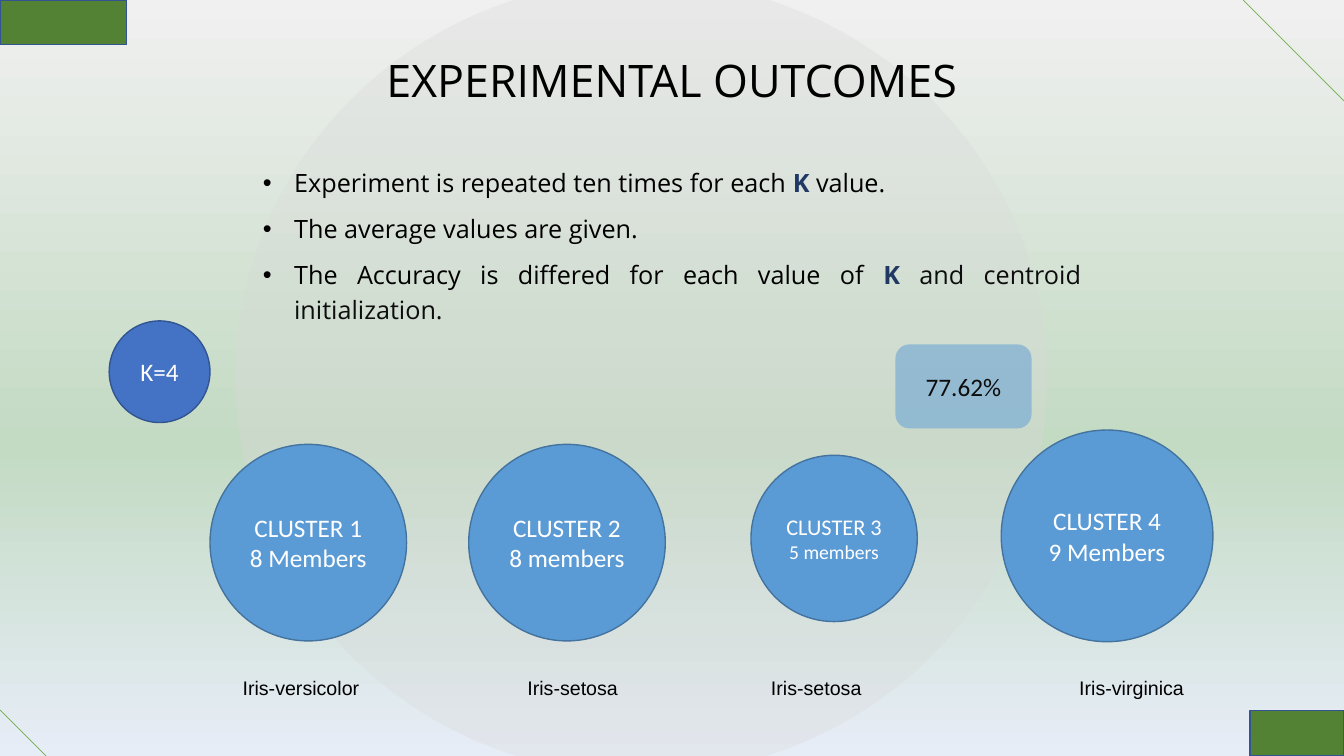
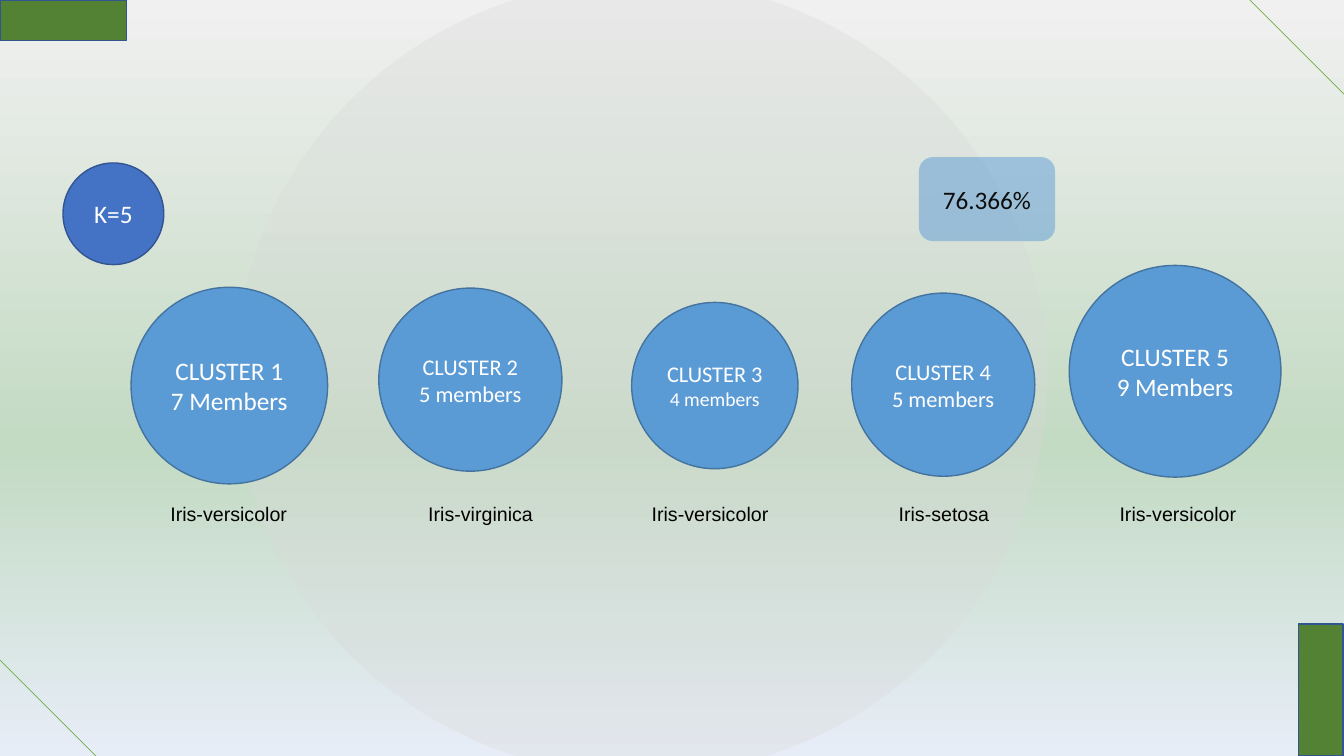
"""Build two slides on clustering outcomes for K=4 and K=5."""
from lxml import etree
from pptx import Presentation
from pptx import util as u
from pptx.dml.color import RGBColor
from pptx.enum import shapes, text
from pptx.oxml.ns import qn

CELL = u.Pt(6)
COLUMNS, ROWS = 160, 90
COLORS = {
    "black": "000000", "ink": "0D0D0D", "white": "FFFFFF", "navy": "203864",
    "halo": "D9D9D9", "badge": "4472C4", "badge_line": "325491",
    "cluster": "5B9BD5", "cluster_line": "43739E",
    "corner": "548235", "diagonal": "70AD47",
}
BACKGROUND = [(0, "F0F0F0"), (59, "C3DAC3"), (100, "E7EDF7")]
OVAL = shapes.MSO_SHAPE.OVAL
RECTANGLE = shapes.MSO_SHAPE.RECTANGLE
ROUNDED = shapes.MSO_SHAPE.ROUNDED_RECTANGLE
CIRCLES = {
    "largest": (25.2, 18, 18),
    "large": (23.4, 18, 18),
    "medium": (21.8, 16, 16),
    "small": (19.8, 16, 14),
}


def cells(*values):
    """Turn grid cells into slide lengths."""
    return [u.Emu(round(value * CELL)) for value in values]


def write(frame, lines, font="Calibri", sizes=(18,), color="white", align="CENTER",
          anchor="MIDDLE", spacing=1, after=0, hanging=0):
    """Fill a frame with lines; a line is a string or a list of (text, color, bold)."""
    frame.word_wrap = True
    frame.auto_size = text.MSO_AUTO_SIZE.NONE
    frame.vertical_anchor = text.MSO_ANCHOR[anchor]
    for index, line in enumerate(lines):
        para = frame.add_paragraph() if index else frame.paragraphs[0]
        para.alignment = text.PP_ALIGN[align]
        para.line_spacing = spacing
        para.space_before, para.space_after = u.Pt(0), u.Pt(after)
        if hanging:
            properties = para._p.get_or_add_pPr()
            properties.set("marL", str(u.Inches(hanging)))
            properties.set("indent", str(-u.Inches(hanging)))
        for words, tint, bold in [(line, color, False)] if isinstance(line, str) else line:
            span = para.add_run()
            span.text = words
            span.font.name = font
            span.font.size = u.Pt(sizes[min(index, len(sizes) - 1)])
            span.font.bold = bold
            span.font.color.rgb = RGBColor.from_string(COLORS[tint])


PAGES = [
    {
        "title": "EXPERIMENTAL OUTCOMES",
        "list": [
            [("Experiment is repeated ten times for each ", "black", False),
             ("K", "navy", True), (" value.", "black", False)],
            "The average values are given.",
            [("The Accuracy is differed for each value of ", "black", False),
             ("K ", "navy", True), ("and centroid initialization.", "ink", False)],
        ],
        "badge": ("K=4", 13, 38.2),
        "accuracy": ("77.62%", 106.6, 41),
        "label_top": 79.9,
        "clusters": [
            ("8 Members", "large", 25, 52.9, "Iris-versicolor", 27.7),
            ("8 members", "large", 55.8, 52.9, "Iris-setosa", 61.6),
            ("5 members", "small", 89.4, 54.2, "Iris-setosa", 90.6),
            ("9 Members", "largest", 119.2, 51.2, "Iris-virginica", 127.3),
        ],
        "corners": [(0, 0, 15.1, 5.3), (148.8, 84.6, 11.2, 5.4)],
        "diagonals": [(148, 0, 160, 12), (0, 84.5, 5.5, 90)],
    },
    {
        "badge": ("K=5", 7.5, 19.4),
        "accuracy": ("76.366%", 109.4, 18.7),
        "label_top": 59.2,
        "clusters": [
            ("7 Members", "large", 15.6, 34.2, "Iris-versicolor", 19.1),
            ("5 members", "medium", 45.1, 34.3, "Iris-virginica", 49.8),
            ("4 members", "small", 75.2, 36, "Iris-versicolor", 76.4),
            ("5 members", "medium", 101.4, 34.9, "Iris-setosa", 105.8),
            ("9 Members", "largest", 127.3, 31.6, "Iris-versicolor", 132.1),
        ],
        "corners": [(0, 0, 15.1, 4.8), (154.6, 74.3, 5.3, 15.7)],
        "diagonals": [(148.8, 0, 160, 11.2), (0, 78.6, 11.4, 90)],
    },
]

deck = Presentation()
deck.slide_width, deck.slide_height = cells(COLUMNS, ROWS)

master = deck.slide_master
master.background.fill.gradient()
stops = master.element.find(".//" + qn("a:gsLst"))
for stop in list(stops):
    stops.remove(stop)
for position, value in BACKGROUND:
    stop = etree.SubElement(stops, qn("a:gs"), pos=str(position * 1000))
    etree.SubElement(stop, qn("a:srgbClr"), val=value)
master.element.find(".//" + qn("a:lin")).set("ang", "5400000")

for content in PAGES:
    titled = "title" in content
    page = deck.slides.add_slide(deck.slide_layouts[1 if titled else 6])
    if titled:
        title, body = page.shapes.title, page.placeholders[1]
        title.left, title.top, title.width, title.height = cells(11, 1.2, 138, 17.4)
        write(title.text_frame, [content["title"]], font="Open Sans", sizes=(32,),
              color="black", spacing=0.9)
        body.left, body.top, body.width, body.height = cells(30.1, 18.8, 99.8, 20.4)
        write(body.text_frame, content["list"], font="Open Sans", color="black",
              align="JUSTIFY", anchor="TOP", spacing=1.15, after=8, hanging=0.31)

    badge, badge_left, badge_top = content["badge"]
    accuracy, accuracy_left, accuracy_top = content["accuracy"]
    figures = [
        (OVAL, (28, -2.4, 96.7, 94.7), "halo", None, 32, [], {}),
        (OVAL, (badge_left, badge_top, 12, 12.1), "badge", "badge_line", 100, [badge], {}),
    ]
    for number, (members, scale, left, top, _, _) in enumerate(content["clusters"], 1):
        diameter, *sizes = CIRCLES[scale]
        figures.append((OVAL, (left, top, diameter, diameter), "cluster", "cluster_line",
                        100, [f"CLUSTER {number}", members], {"sizes": sizes}))
    figures.append((ROUNDED, (accuracy_left, accuracy_top, 16.2, 10), "cluster", None,
                    50, [accuracy], {"color": "ink"}))
    for area in content["corners"]:
        figures.append((RECTANGLE, area, "corner", "badge_line", 100, [], {}))

    for kind, area, fill, line, opacity, lines, style in figures:
        shape = page.shapes.add_shape(kind, *cells(*area))
        shape.shadow.inherit = False
        shape.fill.solid()
        shape.fill.fore_color.rgb = RGBColor.from_string(COLORS[fill])
        if opacity < 100:
            tint = shape.element.spPr.find(".//" + qn("a:srgbClr"))
            etree.SubElement(tint, qn("a:alpha"), val=str(opacity * 1000))
        if line:
            shape.line.color.rgb = RGBColor.from_string(COLORS[line])
            shape.line.width = u.Pt(1)
        else:
            shape.line.fill.background()
        if fill == "halo":
            page.shapes.element.insert(2, shape.element)
        write(shape.text_frame, lines, **style)

    for *_, species, label_left in content["clusters"]:
        box = page.shapes.add_textbox(*cells(label_left, content["label_top"], 17.4, 4))
        box.text_frame.margin_right = 0
        write(box.text_frame, [species], font="Arial", sizes=(14,), color="black", align="LEFT")

    for ends in content["diagonals"]:
        diagonal = page.shapes.add_connector(shapes.MSO_CONNECTOR.STRAIGHT, *cells(*ends))
        diagonal.line.color.rgb = RGBColor.from_string(COLORS["diagonal"])
        diagonal.line.width = u.Pt(0.5)
        etree.SubElement(diagonal.element.spPr, qn("a:effectLst"))

deck.save("out.pptx")
